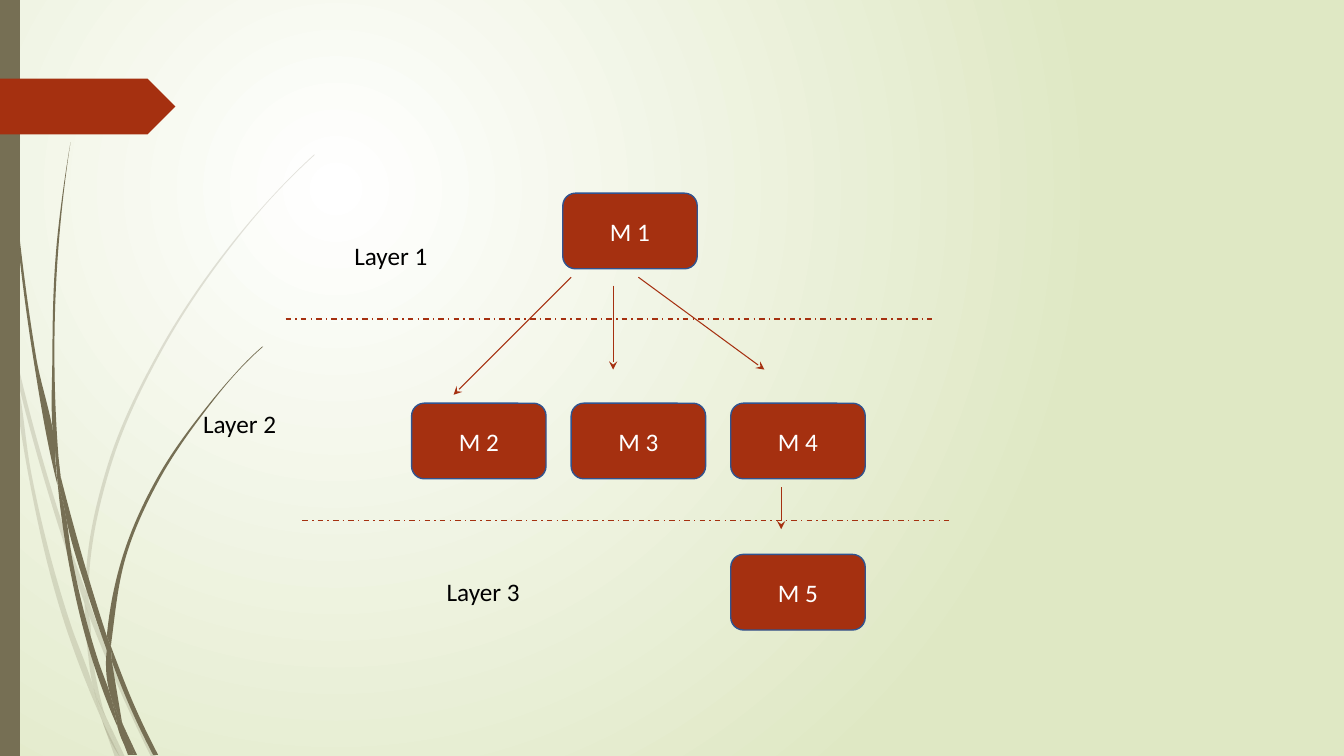
from dataclasses import dataclass

import lxml.etree
import pptx
import pptx.dml.color
import pptx.enum.dml
import pptx.enum.shapes
import pptx.enum.text
import pptx.oxml.ns
import pptx.util

PX = 9525  # EMU per px, 96 px to the inch
SLIDE_WIDTH, SLIDE_HEIGHT = 1280, 720
GRASS_SCALE = 0.96  # px per unit of the blade outlines
qn = pptx.oxml.ns.qn
SHAPES = pptx.enum.shapes.MSO_SHAPE


@dataclass(frozen=True)
class Theme:
    accent: str = "A53010"
    stem: str = "766F54"
    outline: str = "31538F"
    box_text: str = "FFFFFF"
    label_text: str = "000000"
    background: tuple = ("FFFFFF", "DFE8C4")
    font: str = "Calibri"
    text_size: int = 18
    arrow_width: float = 0.75
    line_width: float = 1
    pale_alpha: int = 20


THEME = Theme()

# Each blade of grass has two edges, drawn out along one and back along the other
PALE_BLADES = [
    ([(0, 282), (9, 322), (11, 350)], [(10, 344), (0, 299)]),
    ([(14, 345), (62, 520), (85, 586)], [(84, 599), (58, 522), (17, 376)]),
    ([(88, 596), (92, 607), (127, 692), (155, 751)], [(150, 751), (123, 694), (88, 610)]),
    ([(105, 711), (124, 751)], [(119, 751)]),
    ([(11, 350), (17, 376), (31, 469), (70, 619), (93, 683), (99, 707), (101, 714)],
     [(92, 693), (65, 621), (28, 470), (11, 350)]),
    ([(84, 599), (87, 646), (93, 683), (96, 692), (105, 711)],
     [(103, 706), (91, 646), (88, 610), (84, 599)]),
    ([(88, 596), (88, 584), (110, 462), (160, 349), (229, 245), (268, 198), (290, 175), (312, 154)],
     [(312, 153), (289, 175), (268, 197), (228, 244), (158, 348), (107, 461), (85, 584), (85, 586)]),
    ([(101, 714), (114, 751)], [(119, 751)]),
    ([(84, 599), (88, 610)], [(88, 596), (85, 586)]),
    ([(93, 683), (99, 707), (101, 714), (119, 751)], [(105, 711), (96, 692)]),
]
DARK_BLADES = [
    ([(3, 0), (4, 48), (7, 110), (17, 233), (33, 355), (56, 477), (57, 481)],
     [(55, 457), (55, 453), (36, 355), (19, 232), (8, 109), (5, 48), (4, 0)]),
    ([(60, 472), (64, 505), (88, 592), (106, 645)], [(106, 631), (93, 590), (60, 472)]),
    ([(110, 641), (113, 649), (136, 706), (157, 749)], [(152, 749), (132, 708), (111, 656)]),
    ([(57, 477), (64, 505), (72, 556), (98, 657), (110, 691), (116, 717), (117, 722)],
     [(111, 708), (93, 659), (68, 557), (57, 477)]),
    ([(70, 141), (62, 193), (56, 245), (52, 349), (55, 449), (60, 472)],
     [(58, 453), (54, 349), (58, 245), (63, 193), (70, 141)]),
    ([(122, 719), (136, 749)], [(133, 749)]),
    ([(57, 477), (64, 505)], [(60, 472), (55, 449), (55, 453)]),
    ([(106, 631), (122, 551), (156, 474), (204, 405), (231, 373), (245, 358), (260, 344)],
     [(261, 344), (245, 359), (231, 374), (205, 406), (158, 476), (125, 552), (111, 633), (110, 641)]),
    ([(117, 722), (127, 749)], [(131, 749)]),
    ([(106, 645), (110, 691), (116, 706), (122, 719)], [(121, 716), (111, 656)]),
    ([(106, 631), (106, 645), (111, 656)], [(110, 641)]),
    ([(110, 691), (116, 717), (117, 722), (130, 749)], [(133, 749), (122, 719), (116, 706)]),
]


def emu(*lengths):
    return [pptx.util.Emu(round(length * PX)) for length in lengths]


def rgb(color):
    return pptx.dml.color.RGBColor.from_string(color)


def set_attributes(target, formats):
    for name, value in formats.items():
        setattr(target, name, value)


def paint(shape, color, outline=None):
    shape.shadow.inherit = False
    shape.fill.solid()
    shape.fill.fore_color.rgb = rgb(color)
    if outline:
        shape.line.color.rgb = rgb(outline)
        shape.line.width = pptx.util.Pt(THEME.line_width)
    else:
        shape.line.fill.background()


def write_text(shape, text, color, frame_formats, alignment=None):
    set_attributes(shape.text_frame, frame_formats)
    paragraph = shape.text_frame.paragraphs[0]
    paragraph.alignment = alignment
    run = paragraph.add_run()
    run.text = text
    set_attributes(run.font, {"name": THEME.font, "size": pptx.util.Pt(THEME.text_size)})
    run.font.color.rgb = rgb(color)


def set_background(slide):
    fill = slide.background.fill
    fill.gradient()
    for stop, color in zip(fill.gradient_stops, THEME.background):
        stop.color.rgb = rgb(color)
    # Circular gradient centred in the upper left
    linear = next(slide.element.iter(qn("a:lin")))
    circle = lxml.etree.Element(qn("a:path"), {"path": "circle"})
    lxml.etree.SubElement(circle, qn("a:fillToRect"),
                          {"l": "50000", "t": "50000", "r": "100000", "b": "100000"})
    linear.getparent().replace(linear, circle)


def edge_tangents(points):
    """Unit-speed directions of a smooth curve through the points."""
    chords = [end - start for start, end in zip(points, points[1:])]
    units = [chord / abs(chord) for chord in chords]
    inner = [(units[i] * abs(chords[i + 1]) + units[i + 1] * abs(chords[i]))
             / (abs(chords[i]) + abs(chords[i + 1])) for i in range(len(chords) - 1)]
    if not inner:
        return units * 2
    return [2 * units[0] - inner[0], *inner, 2 * units[-1] - inner[-1]]


def curve_edge(points, lines):
    """Turn the straight segments between the points into cubic curves."""
    tangents = edge_tangents(points)
    for i, line in enumerate(lines):
        start, end = points[i:i + 2]
        reach = abs(end - start) / 3
        line.tag = qn("a:cubicBezTo")
        controls = [start + tangents[i] * reach, end - tangents[i + 1] * reach]
        for place, control in enumerate(controls):
            line.insert(place, lxml.etree.Element(
                qn("a:pt"), x=str(round(control.real)), y=str(round(control.imag))))


def add_grass(slide, blades, alpha=None):
    group = slide.shapes.add_group_shape()
    for outward, back in blades:
        start, *rest = [emu(x * GRASS_SCALE, y * GRASS_SCALE) for x, y in outward + back]
        builder = group.shapes.build_freeform(*start)
        builder.add_line_segments(rest, close=True)
        blade = builder.convert_to_shape()
        paint(blade, THEME.stem)
        properties = blade.element.spPr
        points = [complex(int(point.get("x")), int(point.get("y")))
                  for point in properties.iter(qn("a:pt"))]
        lines = list(properties.iter(qn("a:lnTo")))
        turn = len(outward)
        curve_edge(points[:turn], lines[:turn - 1])
        if len(back) > 1:
            curve_edge(points[turn:], lines[turn:])
        if alpha:
            color = next(properties.iter(qn("a:srgbClr")))
            lxml.etree.SubElement(color, qn("a:alpha"), val=str(alpha * 1000))


def add_module(slide, text, left, top):
    box = slide.shapes.add_shape(SHAPES.ROUNDED_RECTANGLE, *emu(left, top, 128, 72))
    paint(box, THEME.accent, THEME.outline)
    write_text(box, text, THEME.box_text,
               {"word_wrap": True, "vertical_anchor": pptx.enum.text.MSO_ANCHOR.MIDDLE},
               pptx.enum.text.PP_ALIGN.CENTER)


def add_label(slide, text, left, top):
    label = slide.shapes.add_textbox(*emu(left, top, 192, 39))
    write_text(label, text, THEME.label_text,
               {"word_wrap": True, "auto_size": pptx.enum.text.MSO_AUTO_SIZE.SHAPE_TO_FIT_TEXT})


def add_line(slide, ends, width):
    line = slide.shapes.add_connector(pptx.enum.shapes.MSO_CONNECTOR.STRAIGHT, *emu(*ends))
    line.line.color.rgb = rgb(THEME.accent)
    line.line.width = pptx.util.Pt(width)
    lxml.etree.SubElement(line.element.spPr, qn("a:effectLst"))
    return line


def add_arrow(slide, *ends):
    arrow = add_line(slide, ends, THEME.arrow_width)
    outline = arrow.element.spPr.find(qn("a:ln"))
    lxml.etree.SubElement(outline, qn("a:tailEnd"), type="stealth")


def add_divider(slide, left, top):
    divider = add_line(slide, (left, top, left + 616, top), THEME.line_width)
    divider.line.dash_style = pptx.enum.dml.MSO_LINE.DASH_DOT


def main():
    presentation = pptx.Presentation()
    presentation.slide_width, presentation.slide_height = emu(SLIDE_WIDTH, SLIDE_HEIGHT)
    slide = presentation.slides.add_slide(presentation.slide_layouts[6])

    # Backdrop
    set_background(slide)
    add_grass(slide, PALE_BLADES, THEME.pale_alpha)
    add_grass(slide, DARK_BLADES)
    for preset, box, color in [(SHAPES.RECTANGLE, (0, 0, 19, SLIDE_HEIGHT), THEME.stem),
                               (SHAPES.PENTAGON, (0, 75, 167, 53), THEME.accent)]:
        paint(slide.shapes.add_shape(preset, *emu(*box)), color)

    # Modules
    columns = [392 + 152 * index for index in range(3)]
    add_module(slide, "M 1", 536, 184)
    for number, left in enumerate(columns, start=2):
        add_module(slide, f"M {number}", left, 384)
    add_module(slide, "M 5", columns[-1], 528)

    # Calls between modules
    for ends in [(544, 264, 432, 376), (584, 272, 584, 352),
                 (608, 264, 728, 352), (744, 464, 744, 504)]:
        add_arrow(slide, *ends)

    # Layers
    for left, top in [(272, 304), (288, 496)]:
        add_divider(slide, left, top)
    for number, (left, top) in enumerate([(328, 224), (184, 384), (416, 544)], start=1):
        add_label(slide, f"Layer {number}", left, top)

    presentation.save("out.pptx")


if __name__ == "__main__":
    main()
